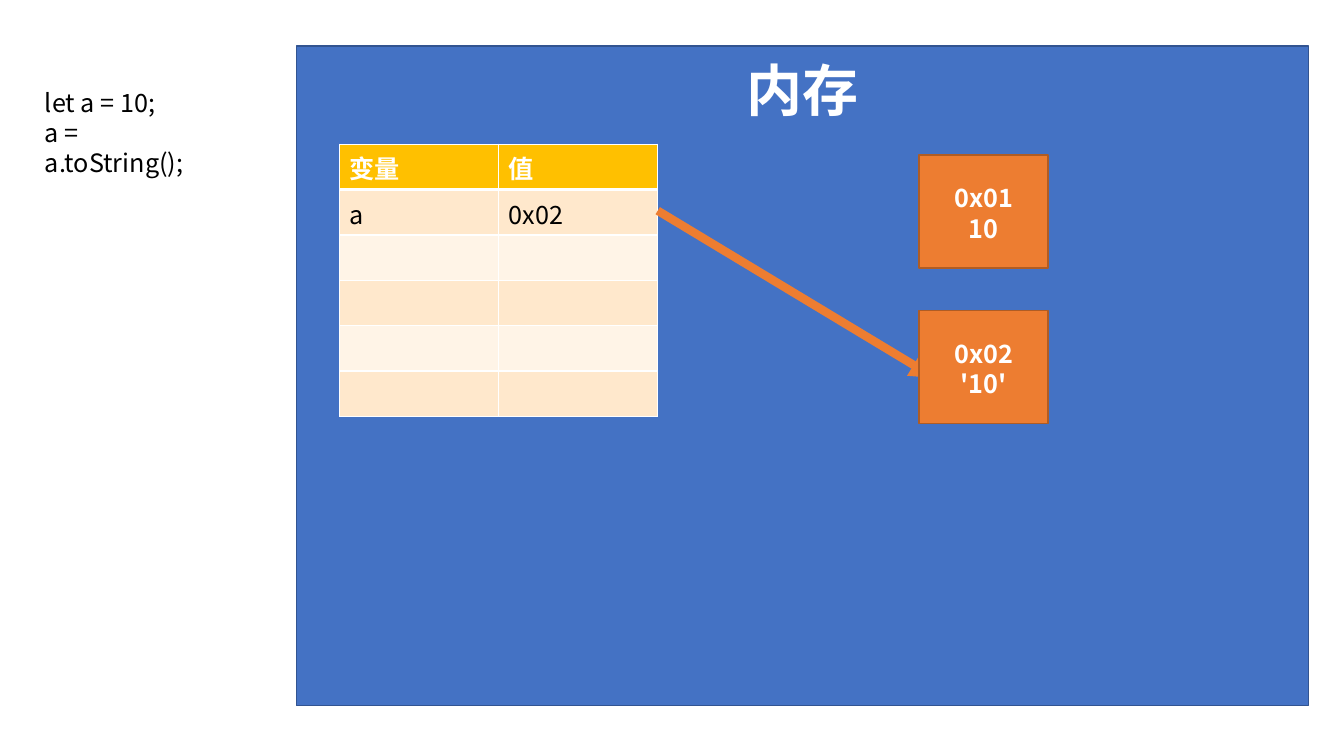
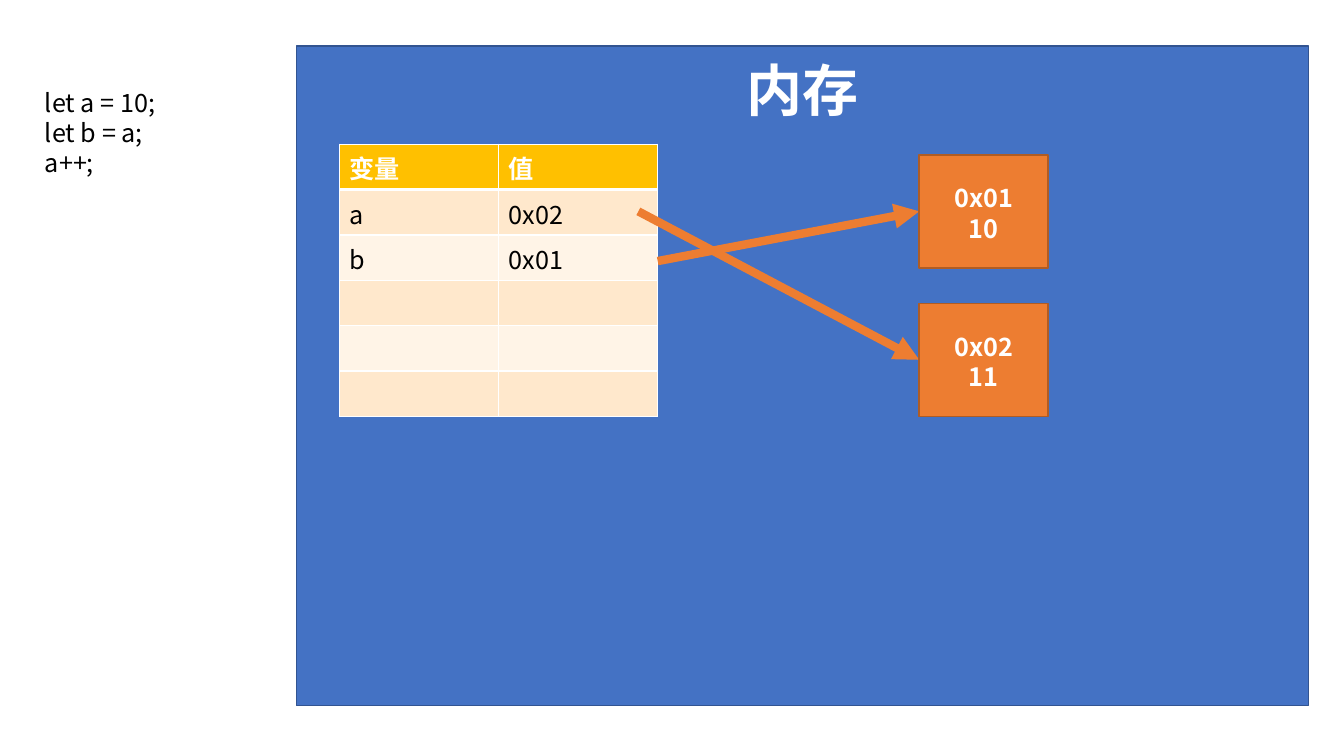
from lxml import etree
from pptx import Presentation
from pptx.dml.color import RGBColor
from pptx.enum.shapes import MSO_CONNECTOR, MSO_SHAPE
from pptx.enum.text import MSO_ANCHOR, PP_ALIGN
from pptx.oxml.ns import qn
from pptx.util import Pt

FONT = "Noto Sans CJK SC"
WHITE, BLACK = "FFFFFF", "000000"
BLUE, DARK_BLUE = "4472C4", "325491"
ORANGE, DARK_ORANGE = "ED7D31", "AF5C24"
GOLD, PEACH, CREAM = "FFC000", "FFE8CC", "FFF4E7"

BODY_SIZE = 18
LINE_FACTOR = 1.2
HEADER = ("变量", "值")
ROW_COUNT, ROW_HEIGHT, COLUMN_WIDTH = 6, 32.4, 113.6
TABLE_LEFT, TABLE_TOP = 242.6, 103
BOX_LEFT, BOX_WIDTH, BOX_HEIGHT = 656.6, 92, 80.6
FIRST_BOX_TOP = 110.8


def color(hex_value):
    return RGBColor.from_string(hex_value)


def write_lines(frame, lines, text_color, size=BODY_SIZE, bold=False,
                align=PP_ALIGN.LEFT):
    """Write one paragraph per line, all in the shared font."""
    frame.word_wrap = True
    frame.text = "\n".join(lines)
    for paragraph in frame.paragraphs:
        paragraph.alignment = align
        paragraph.line_spacing = Pt(size * LINE_FACTOR)
        font = paragraph.font
        font.name, font.size, font.bold = FONT, Pt(size), bold
        font.color.rgb = color(text_color)
        properties = paragraph._p.pPr.find(qn("a:defRPr"))
        etree.SubElement(properties, qn("a:ea"), typeface=FONT)


def add_rectangle(slide, left, top, width, height, fill, outline):
    shape = slide.shapes.add_shape(MSO_SHAPE.RECTANGLE, Pt(left), Pt(top),
                                   Pt(width), Pt(height))
    shape.shadow.inherit = False
    shape.fill.solid()
    shape.fill.fore_color.rgb = color(fill)
    shape.line.color.rgb = color(outline)
    shape.line.width = Pt(1)
    return shape


def add_memory_panel(slide):
    panel = add_rectangle(slide, 211.6, 33, 723, 471, BLUE, DARK_BLUE)
    frame = panel.text_frame
    frame.vertical_anchor = MSO_ANCHOR.TOP
    frame.margin_top = Pt(6.4)
    write_lines(frame, ["内存"], WHITE, 40, True, PP_ALIGN.CENTER)


def add_code(slide, lines):
    height = 3 * BODY_SIZE * LINE_FACTOR + 8
    box = slide.shapes.add_textbox(Pt(25), Pt(57.6), Pt(138), Pt(height))
    box.text_frame.margin_top = Pt(4.6)
    write_lines(box.text_frame, lines, BLACK)


def add_memory_box(slide, top, address, value):
    box = add_rectangle(slide, BOX_LEFT, top, BOX_WIDTH, BOX_HEIGHT,
                        ORANGE, DARK_ORANGE)
    frame = box.text_frame
    frame.vertical_anchor = MSO_ANCHOR.MIDDLE
    frame.margin_top = Pt(5.6)
    write_lines(frame, [address, value], WHITE, bold=True,
                align=PP_ALIGN.CENTER)


def add_cell_borders(cell, top, bottom):
    properties = cell._tc.get_or_add_tcPr()
    for side, width in (("L", 1), ("R", 1), ("T", top), ("B", bottom)):
        line = etree.SubElement(properties, qn("a:ln" + side), w=str(Pt(width)))
        fill = etree.SubElement(line, qn("a:solidFill"))
        etree.SubElement(fill, qn("a:srgbClr"), val=WHITE)


def add_variable_table(slide, variables):
    table = slide.shapes.add_table(
        ROW_COUNT, len(HEADER), Pt(TABLE_LEFT), Pt(TABLE_TOP),
        Pt(COLUMN_WIDTH * len(HEADER)), Pt(ROW_HEIGHT * ROW_COUNT)).table
    for column in table.columns:
        column.width = Pt(COLUMN_WIDTH)
    blank_rows = [("", "")] * (ROW_COUNT - 1 - len(variables))
    for index, values in enumerate([HEADER, *variables, *blank_rows]):
        table.rows[index].height = Pt(ROW_HEIGHT)
        is_header = index == 0
        fill = GOLD if is_header else (CREAM, PEACH)[index % 2]
        for column, text in enumerate(values):
            cell = table.cell(index, column)
            # The rule under the header is heavier than the others
            add_cell_borders(cell, top=3 if index == 1 else 1,
                             bottom=3 if is_header else 1)
            cell.fill.solid()
            cell.fill.fore_color.rgb = color(fill)
            cell.vertical_anchor = MSO_ANCHOR.BOTTOM
            cell.margin_bottom = Pt(2.6)
            write_lines(cell.text_frame, [text],
                        WHITE if is_header else BLACK, bold=is_header)


def add_arrow(slide, start, end):
    arrow = slide.shapes.add_connector(MSO_CONNECTOR.STRAIGHT,
                                       *map(Pt, start + end))
    arrow.line.color.rgb = color(ORANGE)
    arrow.line.width = Pt(6)
    etree.SubElement(arrow.line._get_or_add_ln(), qn("a:tailEnd"),
                     type="triangle")
    etree.SubElement(arrow._element.spPr, qn("a:effectLst"))


def add_memory_slide(presentation, code, variables, arrows, values,
                     second_box_top):
    slide = presentation.slides.add_slide(presentation.slide_layouts[6])
    add_memory_panel(slide)
    add_code(slide, code)
    add_variable_table(slide, variables)
    for start, end in arrows:
        add_arrow(slide, start, end)
    # Boxes lie over the arrow tips
    tops = (FIRST_BOX_TOP, second_box_top)
    for number, (top, value) in enumerate(zip(tops, values), start=1):
        add_memory_box(slide, top, f"0x{number:02}", value)


def main():
    presentation = Presentation()
    presentation.slide_width, presentation.slide_height = Pt(960), Pt(540)
    table_right = TABLE_LEFT + COLUMN_WIDTH * len(HEADER)

    # Reassigning a variable to a new type
    add_memory_slide(
        presentation, ["let a = 10;", "a = a.toString();"],
        [("a", "0x02")],
        [((table_right, 150.5), (668, 270))],
        ["10", "'10'"], 221.8)

    # Copying a value, then changing the first variable
    add_memory_slide(
        presentation, ["let a = 10;", "let b = a;", "a++;"],
        [("a", "0x02"), ("b", "0x01")],
        [((456, 151), (BOX_LEFT, 257)),
         ((table_right, 186.5), (BOX_LEFT, 151))],
        ["10", "11"], 217)

    presentation.save("out.pptx")


main()
